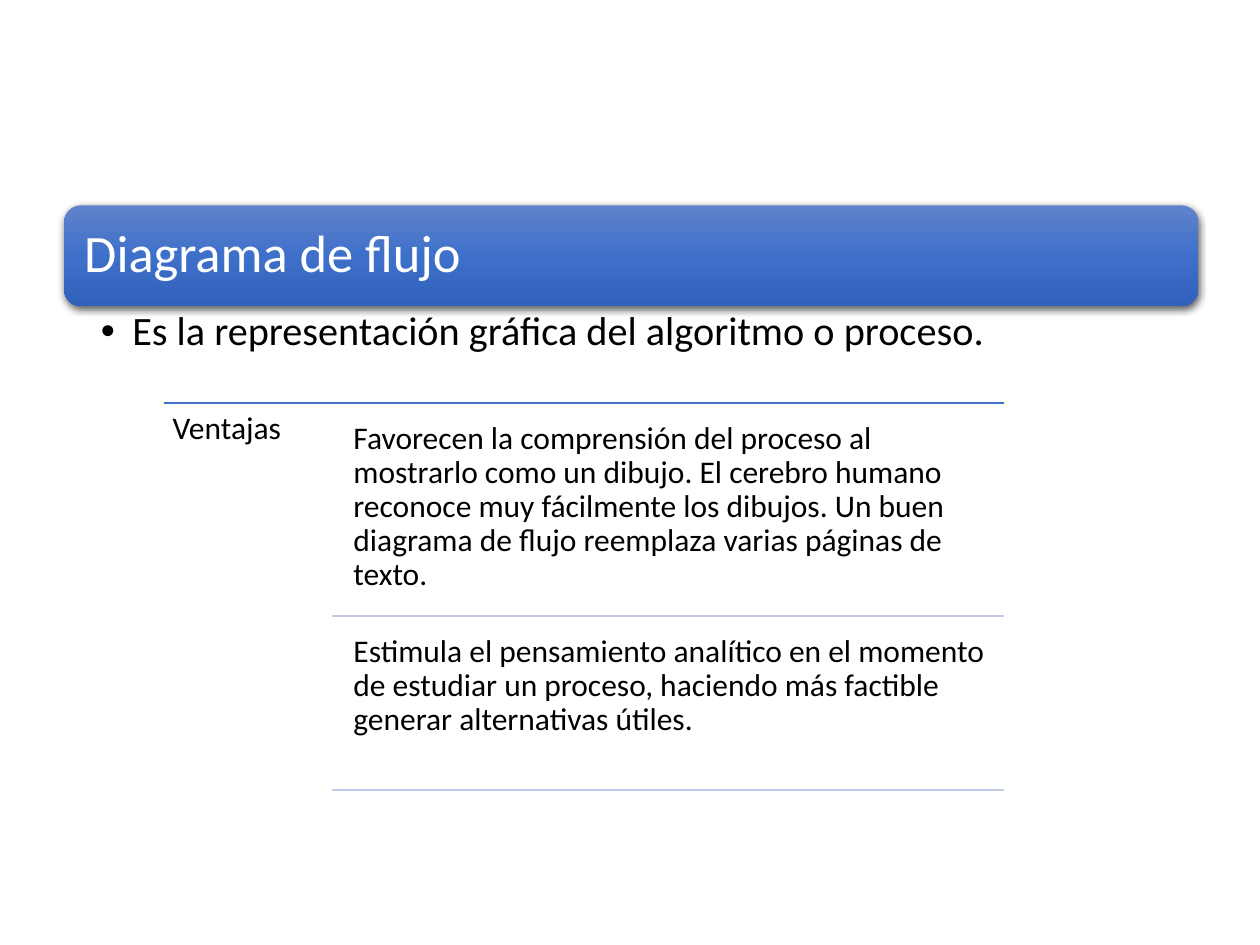
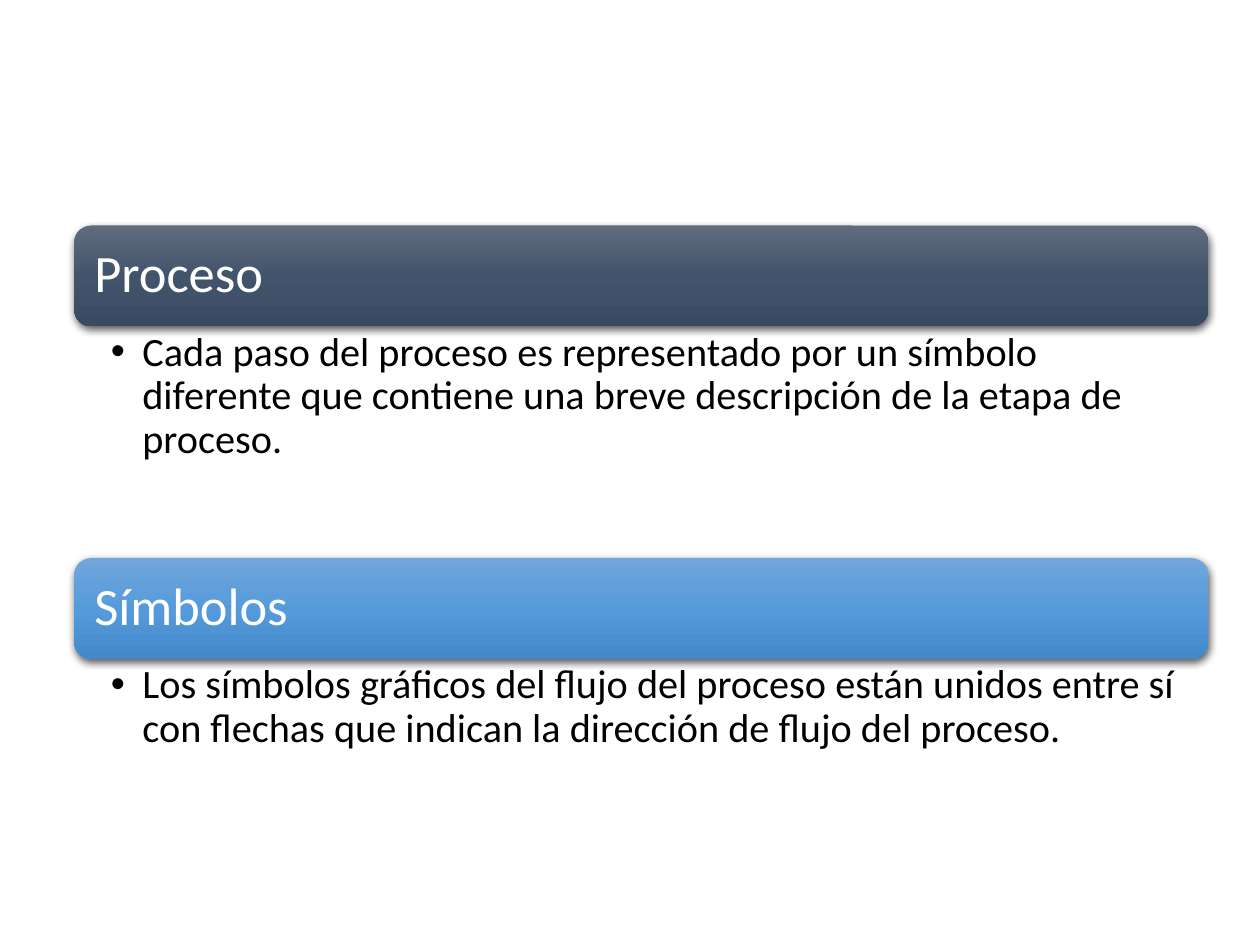
import dataclasses
import lxml.etree
import pptx
import pptx.dml.color
import pptx.enum.shapes
import pptx.enum.text
import pptx.oxml.ns
import pptx.presentation
import pptx.shapes.autoshape
import pptx.slide
import pptx.text.text
import pptx.util

qn = pptx.oxml.ns.qn


@dataclasses.dataclass(frozen=True)
class Theme:
    font: str = "Calibri"
    light: str = "FFFFFF"
    dark: str = "000000"
    rule_strong: str = "4472C4"
    rule_soft: str = "C1C9E4"
    blue: tuple[str, ...] = ("6183CB", "3E70CA", "3062BB")
    slate: tuple[str, ...] = ("606B7D", "42546C", "394A62")
    sky: tuple[str, ...] = ("71A6DB", "559BDB", "448ACA")
    heading_size: int = 30
    bullet_size: int = 23
    body_size: int = 18


THEME = Theme()

# Grid: 100 columns by 75 rows, ten cells to the inch
CELL = pptx.util.Inches(0.1)
COLUMNS, ROWS = 100, 75
BAND_COLUMNS, BAND_ROWS = 90, 8


@dataclasses.dataclass(frozen=True)
class Section:
    """A gradient heading band with one bullet below it."""
    heading: str
    bullet: str
    gradient: tuple[str, ...]
    column: float
    row: float
    bullet_rows: float


@dataclasses.dataclass(frozen=True)
class Advantage:
    text: str
    row: float


@dataclasses.dataclass(frozen=True)
class AdvantageList:
    """A label on the left, with ruled entries on the right."""
    label: str
    entries: tuple[Advantage, ...]
    left: float = 13
    divider: float = 26.35
    right: float = 79.7
    bottom: float = 62.7
    padding: float = 0.8


FLOWCHART = Section("Diagrama de flujo",
                    "Es la representación gráfica del algoritmo o proceso.",
                    THEME.blue, 5.1, 16.3, 5.3)
ADVANTAGES = AdvantageList("Ventajas", (
    Advantage("Favorecen la comprensión del proceso al mostrarlo como un dibujo. "
              "El cerebro humano reconoce muy fácilmente los dibujos. Un buen diagrama "
              "de flujo reemplaza varias páginas de texto.", 32),
    Advantage("Estimula el pensamiento analítico en el momento de estudiar un proceso, "
              "haciendo más factible generar alternativas útiles.", 48.9),
))
PROCESS_SECTIONS = (
    Section("Proceso",
            "Cada paso del proceso es representado por un símbolo diferente que "
            "contiene una breve descripción de la etapa de proceso.",
            THEME.slate, 5.9, 17.9, 14.5),
    Section("Símbolos",
            "Los símbolos gráficos del flujo del proceso están unidos entre sí con "
            "flechas que indican la dirección de flujo del proceso.",
            THEME.sky, 5.9, 44.3, 12.3),
)


def cells(count: float) -> pptx.util.Emu:
    return pptx.util.Emu(round(count * CELL))


def color(value: str) -> pptx.dml.color.RGBColor:
    return pptx.dml.color.RGBColor.from_string(value)


# Text
def write(frame: pptx.text.text.TextFrame, text: str, size: int, ink: str,
          insets: tuple[float, float, float, float]) -> pptx.text.text._Paragraph:
    """Fill a frame; insets are left, top, right, bottom in cells."""
    frame.word_wrap = True
    (frame.margin_left, frame.margin_top,
     frame.margin_right, frame.margin_bottom) = map(cells, insets)
    paragraph = frame.paragraphs[0]
    paragraph.alignment = pptx.enum.text.PP_ALIGN.LEFT
    paragraph.line_spacing = 0.9
    run = paragraph.add_run()
    run.text = text
    run.font.name = THEME.font
    run.font.size = pptx.util.Pt(size)
    run.font.color.rgb = color(ink)
    return paragraph


def add_text(slide: pptx.slide.Slide, column: float, row: float, width: float,
             height: float, text: str, size: int = THEME.body_size,
             insets: tuple[float, float, float, float] = (0.7, 0.7, 0.7, 0.7),
             ) -> pptx.text.text._Paragraph:
    box = slide.shapes.add_textbox(*map(cells, (column, row, width, height)))
    return write(box.text_frame, text, size, THEME.dark, insets)


def add_bullet(paragraph: pptx.text.text._Paragraph) -> None:
    properties = paragraph._p.get_or_add_pPr()
    indent = cells(2.5)
    properties.set("marL", str(indent))
    properties.set("indent", str(-indent))
    lxml.etree.SubElement(properties, qn("a:buFont"), typeface="Arial")
    lxml.etree.SubElement(properties, qn("a:buChar"), char="•")


# Band finish
def fill_gradient(shape: pptx.shapes.autoshape.Shape, colors: tuple[str, ...]) -> None:
    shape.fill.gradient()
    shape.fill.gradient_angle = 270
    stops = shape._element.spPr.find(".//" + qn("a:gsLst"))
    for stop in list(stops):
        stops.remove(stop)
    for index, value in enumerate(colors):
        position = 100000 * index // (len(colors) - 1)
        stop = lxml.etree.SubElement(stops, qn("a:gs"), pos=str(position))
        lxml.etree.SubElement(stop, qn("a:srgbClr"), val=value)


def add_shadow(shape: pptx.shapes.autoshape.Shape) -> None:
    shape.shadow.inherit = False
    effects = shape._element.spPr.find(qn("a:effectLst"))
    shadow = lxml.etree.SubElement(
        effects, qn("a:outerShdw"), blurRad=str(pptx.util.Pt(4.5)),
        dist=str(pptx.util.Pt(1.5)), dir="5400000", algn="ctr", rotWithShape="0")
    ink = lxml.etree.SubElement(shadow, qn("a:srgbClr"), val=THEME.dark)
    lxml.etree.SubElement(ink, qn("a:alpha"), val="63000")


# Slide parts
def add_section(slide: pptx.slide.Slide, section: Section) -> None:
    band = slide.shapes.add_shape(
        pptx.enum.shapes.MSO_SHAPE.ROUNDED_RECTANGLE,
        *map(cells, (section.column, section.row, BAND_COLUMNS, BAND_ROWS)))
    fill_gradient(band, section.gradient)
    band.line.fill.background()
    add_shadow(band)
    band.text_frame.vertical_anchor = pptx.enum.text.MSO_ANCHOR.MIDDLE
    # The rounded corner itself adds about 0.4 cells to the inset
    write(band.text_frame, section.heading, THEME.heading_size, THEME.light,
          (1.2, 1.2, 1.2, 1.2))
    add_bullet(add_text(slide, section.column, section.row + BAND_ROWS, BAND_COLUMNS,
                        section.bullet_rows, section.bullet, THEME.bullet_size,
                        (2.9, 0.4, 2.3, 0.4)))


def add_rule(slide: pptx.slide.Slide, left: float, right: float, row: float,
             ink: str) -> None:
    rule = slide.shapes.add_connector(pptx.enum.shapes.MSO_CONNECTOR.STRAIGHT,
                                      *map(cells, (left, row, right, row)))
    rule.line.color.rgb = color(ink)
    rule.line.width = pptx.util.Pt(1)
    lxml.etree.SubElement(rule._element.spPr, qn("a:effectLst"))


def add_advantages(slide: pptx.slide.Slide, listing: AdvantageList) -> None:
    top = listing.entries[0].row
    add_rule(slide, listing.left, listing.right, top, THEME.rule_strong)
    add_text(slide, listing.left, top, listing.divider - listing.left,
             listing.bottom - top, listing.label)
    text_left = listing.divider + 1
    ends = [entry.row for entry in listing.entries[1:]] + [listing.bottom]
    for entry, end in zip(listing.entries, ends):
        text_top = entry.row + listing.padding
        add_text(slide, text_left, text_top, listing.right - text_left,
                 end - text_top, entry.text)
        add_rule(slide, listing.divider, listing.right, end, THEME.rule_soft)


def add_blank_slide(presentation: pptx.presentation.Presentation) -> pptx.slide.Slide:
    slide = presentation.slides.add_slide(presentation.slide_layouts[6])
    slide.background.fill.solid()
    slide.background.fill.fore_color.rgb = color(THEME.light)
    return slide


def main() -> None:
    presentation = pptx.Presentation()
    presentation.slide_width = cells(COLUMNS)
    presentation.slide_height = cells(ROWS)

    # Flowchart definition and advantages
    slide = add_blank_slide(presentation)
    add_section(slide, FLOWCHART)
    add_advantages(slide, ADVANTAGES)

    # Process and symbols
    slide = add_blank_slide(presentation)
    for section in PROCESS_SECTIONS:
        add_section(slide, section)

    presentation.save("out.pptx")


if __name__ == "__main__":
    main()
